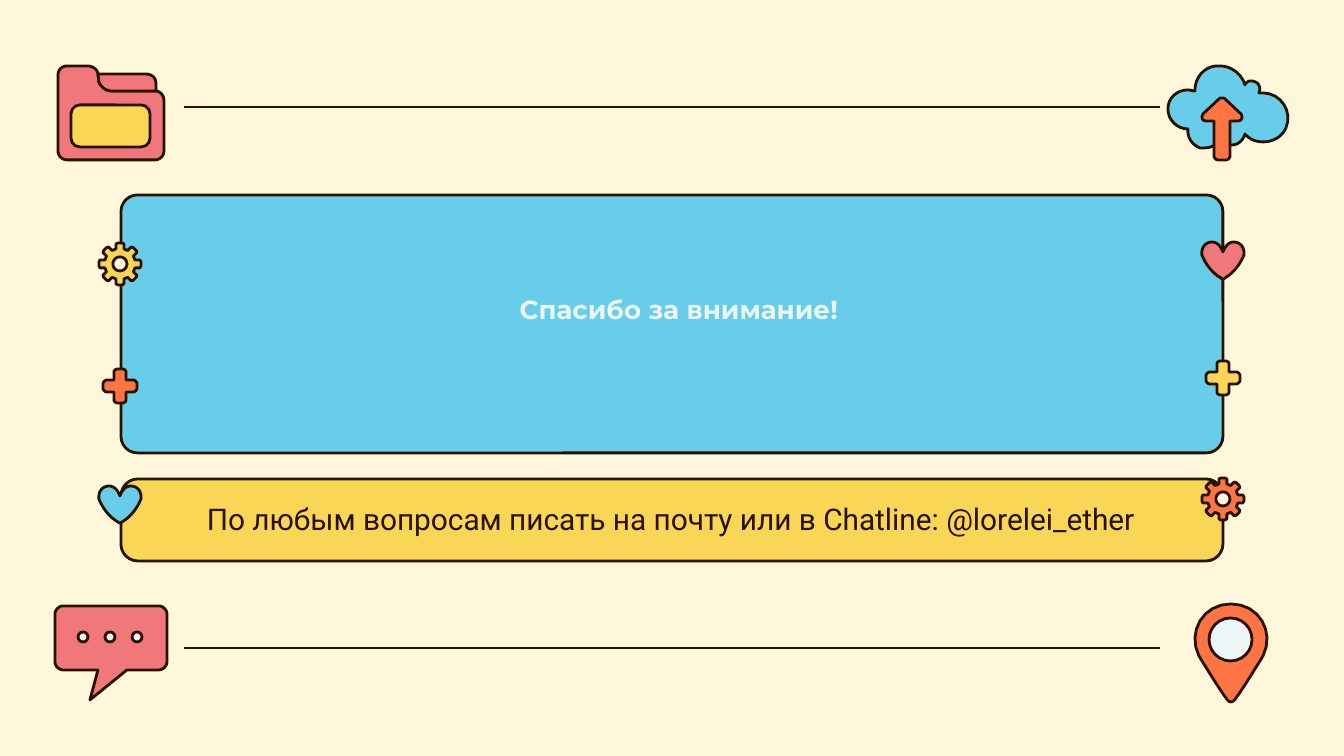
from dataclasses import dataclass
from math import cos, pi, sin

from lxml.etree import SubElement
from pptx import Presentation
from pptx.dml.color import RGBColor as Rgb
from pptx.enum.shapes import MSO_CONNECTOR as Link, MSO_SHAPE as Form
from pptx.enum.text import MSO_ANCHOR as Anchor, MSO_AUTO_SIZE as Fit, PP_ALIGN as Align
from pptx.oxml.ns import qn
from pptx.util import Pt

PX = 914400 / 134.4


@dataclass(frozen=True)
class Theme:
    cream: Rgb = Rgb.from_string("FFF7DC")
    ink: Rgb = Rgb.from_string("281101")
    gold: Rgb = Rgb.from_string("F9D656")
    blue: Rgb = Rgb.from_string("68CDE9")
    pink: Rgb = Rgb.from_string("F0787A")
    coral: Rgb = Rgb.from_string("FE7443")
    pale: Rgb = Rgb.from_string("EDF6F7")
    line: Pt = Pt(1.5)
    head: Pt = Pt(14)
    body: Pt = Pt(16)


look = Theme()
deck = Presentation()
deck.slide_width, deck.slide_height = round(1344 * PX), round(756 * PX)
slide = deck.slides.add_slide(deck.slide_layouts[0])
slide.background.fill.solid()
slide.background.fill.fore_color.rgb = look.cream
shapes = slide.shapes


def paint(shape, fill):
    shape.shadow.inherit = False
    shape.fill.solid()
    shape.fill.fore_color.rgb = fill
    shape.line.color.rgb = look.ink
    shape.line.width = look.line
    return shape


def draw(x, y, fill, segs, twin=False, hole=()):
    dots = [segs[0]]
    for seg in segs[1:]:
        if len(seg) == 2:
            dots.append(seg)
            continue
        ends = dots[-1] + seg
        for step in range(1, 9):
            t = step / 8
            mix = ((1 - t) ** 3, 3 * t * (1 - t) ** 2, 3 * t * t * (1 - t), t ** 3)
            dots.append((sum(m * v for m, v in zip(mix, ends[::2])),
                         sum(m * v for m, v in zip(mix, ends[1::2]))))
    if twin:
        dots += [(-a, b) for a, b in reversed(dots)]
    rings = [[((x + a) * PX, (y + b) * PX) for a, b in ring] for ring in (dots, hole) if ring]
    pen = shapes.build_freeform(*rings[0][0])
    pen.add_line_segments(rings[0][1:])
    for ring in rings[1:]:
        pen.move_to(*ring[0])
        pen.add_line_segments(ring[1:])
    paint(pen.convert_to_shape(), fill)


title, note = slide.placeholders
for top, high, curve, fill, words, text, spot, anchor, pad, font, size, ink, bold in (
    (479, 82, 0.207, look.gold, note,
     "По любым вопросам писать на почту или в Chatline: @lorelei_ether",
     (146, 484, 1050, 69), Anchor.MIDDLE, 13, "Roboto", look.body, look.ink, False),
    (195, 258, 0.064, look.blue, title, "Спасибо за внимание!",
     (160, 286, 1038, 79), Anchor.TOP, 7, "Montserrat", look.head, look.pale, True),
):
    box = [round(v * PX) for v in (121, top, 1102, high)]
    panel = paint(shapes.add_shape(Form.ROUNDED_RECTANGLE, *box), fill)
    panel.adjustments[0] = curve
    panel.element.addnext(words.element)
    words.left, words.top, words.width, words.height = [round(v * PX) for v in spot]
    frame = words.text_frame
    frame.text = text
    frame.word_wrap = True
    frame.auto_size = Fit.NONE
    frame.vertical_anchor = anchor
    frame.margin_left = frame.margin_right = round(13 * PX)
    frame.margin_top = frame.margin_bottom = round(pad * PX)
    para = frame.paragraphs[0]
    para.alignment = Align.CENTER
    para.space_before = Pt(0)
    para.font.name, para.font.size, para.font.bold = font, size, bold
    para.font.color.rgb = ink

for y in (648, 107):
    ends = [round(v * PX) for v in (184, y, 1160, y)]
    rule = shapes.add_connector(Link.STRAIGHT, *ends)
    rule.line.color.rgb = look.ink
    rule.line.width = look.line
    SubElement(rule.element.spPr, qn("a:effectLst"))

pin = [(0, 0), (-28, 0, -44, 28, -32, 52), (-29, 57, -10, 88, -5, 94), (-4, 96, -2, 98, 0, 98)]
draw(1231, 604, look.coral, pin, twin=True)

bubble = [(8, 0), (4, 0, 0, 4, 0, 8), (0, 56), (0, 60, 4, 64, 8, 64), (43, 64), (35, 94),
          (72, 64), (104, 64), (108, 64, 112, 60, 112, 56), (112, 8), (112, 4, 108, 0, 104, 0)]
draw(55, 606, look.pink, bubble)

for x, y, size in [(1209, 618, 43)] + [(78 + 27 * i, 632, 10) for i in range(3)]:
    spot = [round(v * PX) for v in (x, y, size, size)]
    paint(shapes.add_shape(Form.OVAL, *spot), look.pale)

cloud = [(52, 0), (51, 0, 50, 0, 48, 0), (36, 1, 27, 12, 27, 24), (27, 25),
         (24, 25, 23, 24, 20, 24), (9, 24, 0, 32, 0, 43), (0, 54, 9, 63, 20, 63),
         (19, 71, 24, 79, 32, 82), (34, 82, 35, 82, 36, 82), (43, 82, 50, 79, 52, 72),
         (55, 78, 59, 79, 64, 79), (70, 79, 75, 75, 77, 68), (82, 74, 89, 76, 95, 76),
         (105, 76, 114, 71, 118, 62), (125, 46, 113, 27, 95, 27), (94, 27, 93, 27, 91, 27),
         (94, 20, 89, 15, 83, 15), (81, 15, 78, 16, 77, 19), (74, 8, 63, 0, 52, 0)]
draw(1168, 66, look.blue, cloud)

arrow = [(0, 0), (-1, 0, -2, 0, -3, 1), (-19, 16), (-21, 19, -20, 23, -16, 23), (-8, 23),
         (-8, 58), (-8, 60, -6, 62, -4, 62), (0, 62)]
draw(1222, 98, look.coral, arrow, twin=True)

folder = [(9, 0), (4, 0, 0, 4, 0, 9), (0, 85), (0, 90, 4, 94, 9, 94), (97, 94),
          (102, 94, 106, 90, 106, 85), (106, 35), (106, 29, 102, 25, 97, 25), (54, 25),
          (48, 25, 43, 21, 41, 16), (40, 8), (40, 4, 35, 0, 29, 0)]
flap = [(40, 8), (41, 16), (43, 21, 48, 25, 54, 25), (98, 25), (98, 17), (98, 12, 94, 8, 88, 8)]
for part in (folder, flap):
    draw(58, 66, look.pink, part)
spot = [round(v * PX) for v in (71, 105, 79, 42)]
label = paint(shapes.add_shape(Form.ROUNDED_RECTANGLE, *spot), look.gold)
label.adjustments[0] = 0.21

plus = [(0, 0), (-2, 0), (-4, 0, -6, 1, -6, 3), (-6, 11), (-13, 11), (-15, 11, -17, 13, -17, 15),
        (-17, 19), (-17, 21, -15, 23, -13, 23), (-6, 23), (-6, 31), (-6, 33, -4, 34, -2, 34),
        (0, 34)]
heart = [(0, 10), (-2, 4, -6, 0, -11, 0), (-17, 0, -22, 5, -21, 13), (-18, 21, -11, 31, -2, 36),
         (-1, 37, 0, 37, 0, 37)]
for x, y, fill, half in ((1223, 361, look.gold, plus), (1223, 242, look.pink, heart),
                         (120, 486, look.blue, heart), (120, 369, look.coral, plus)):
    draw(x, y, fill, half, twin=True)

tooth = [(15, -4), (20, -4), (21, -2), (21, 2), (20, 4), (15, 4)]
turns = [i * pi / 4 for i in range(8)]
gear = [(r * cos(a) - s * sin(a), r * sin(a) + s * cos(a)) for a in turns for r, s in tooth]
hole = [(7 * cos(i * pi / 16), -7 * sin(i * pi / 16)) for i in range(32)]
for x, y, fill in ((120, 264, look.gold), (1223, 499, look.coral)):
    spot = [round(v * PX) for v in (x - 10, y - 10, 20, 20)]
    hub = paint(shapes.add_shape(Form.OVAL, *spot), look.cream)
    hub.line.fill.background()
    draw(x, y, fill, gear, hole=hole)

deck.save("out.pptx")
